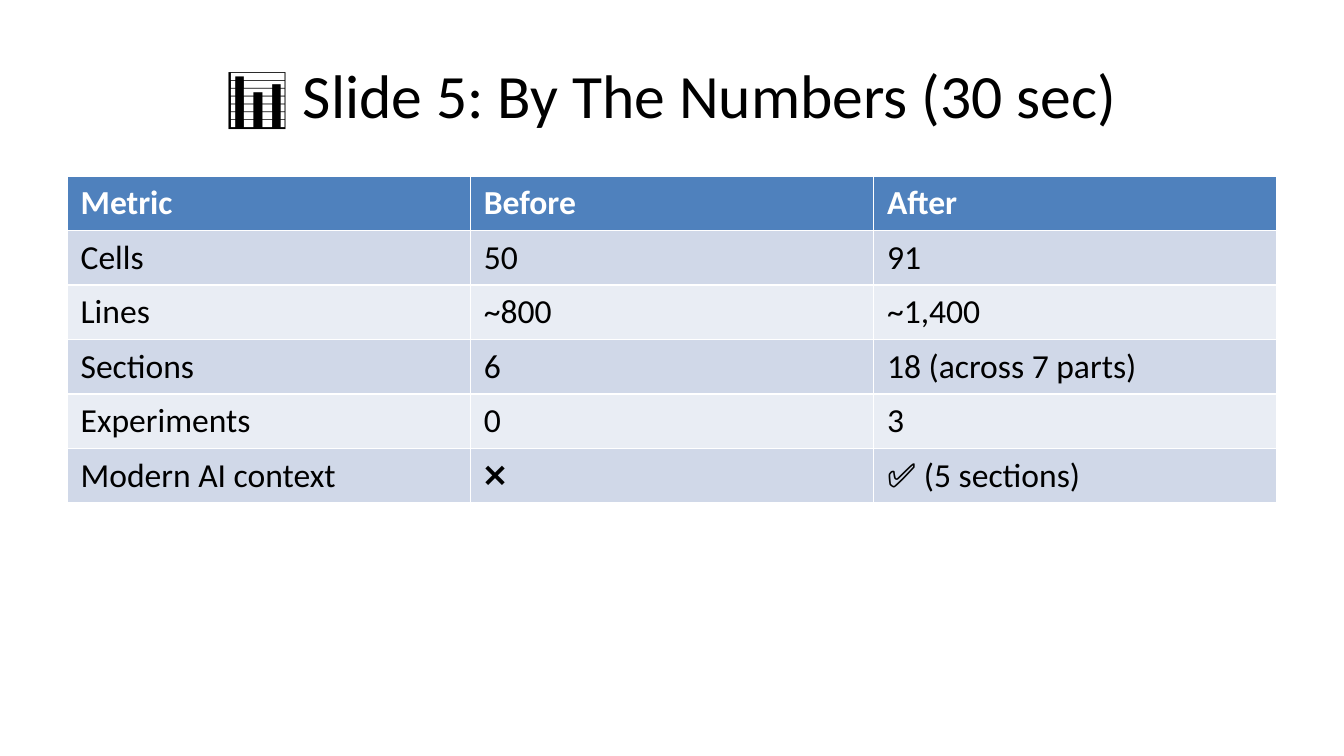
from pptx import Presentation
from pptx.dml.color import RGBColor
from pptx.enum.text import MSO_ANCHOR, PP_ALIGN
from pptx.util import Cm, Pt

COLORS = {
    "ink": "000000",
    "header": "4F81BD",
    "header_text": "FFFFFF",
    "odd_row": "D0D8E8",
    "even_row": "E9EDF4",
}

METRICS = [
    ("Metric", "Before", "After"),
    ("Cells", "50", "91"),
    ("Lines", "~800", "~1,400"),
    ("Sections", "6", "18 (across 7 parts)"),
    ("Experiments", "0", "3"),
    ("Modern AI context", "❌", "✅ (5 sections)"),
]


class NumbersSlide:
    """Holds the text style and the slide being filled."""

    font = "Calibri"
    left, width = Cm(1.27), Cm(22.86)

    def __init__(self, slide):
        self.slide = slide

    def format_text(self, frame, size, color, bold=False):
        for paragraph in frame.paragraphs:
            for run in paragraph.runs:
                run.font.name = self.font
                run.font.size = Pt(size)
                run.font.bold = bold
                run.font.color.rgb = RGBColor.from_string(COLORS[color])

    def add_title(self, wording, top, height):
        title = self.slide.shapes.add_textbox(self.left, top, self.width, height)
        frame = title.text_frame
        frame.word_wrap = True
        frame.vertical_anchor = MSO_ANCHOR.MIDDLE
        frame.text = wording
        frame.paragraphs[0].alignment = PP_ALIGN.CENTER
        self.format_text(frame, 33, "ink")

    def add_metrics(self, rows, top, row_height):
        metrics = self.slide.shapes.add_table(
            len(rows), len(rows[0]), self.left, top, self.width, row_height * len(rows)
        ).table
        for row_index, row in enumerate(rows):
            is_header = row_index == 0
            band = "odd_row" if row_index % 2 else "even_row"
            for column_index, wording in enumerate(row):
                cell = metrics.cell(row_index, column_index)
                cell.fill.solid()
                cell.fill.fore_color.rgb = RGBColor.from_string(
                    COLORS["header" if is_header else band]
                )
                cell.text_frame.text = wording
                text_color = "header_text" if is_header else "ink"
                self.format_text(cell.text_frame, 18, text_color, bold=is_header)


def main():
    presentation = Presentation()
    presentation.slide_width = Cm(25.4)
    presentation.slide_height = Cm(14.29)
    blank = presentation.slide_layouts[6]
    numbers = NumbersSlide(presentation.slides.add_slide(blank))
    numbers.add_title("📊 Slide 5: By The Numbers (30 sec)", Cm(0.58), Cm(2.39))
    numbers.add_metrics(METRICS, Cm(3.33), Cm(1.03))
    presentation.save("out.pptx")


if __name__ == "__main__":
    main()
